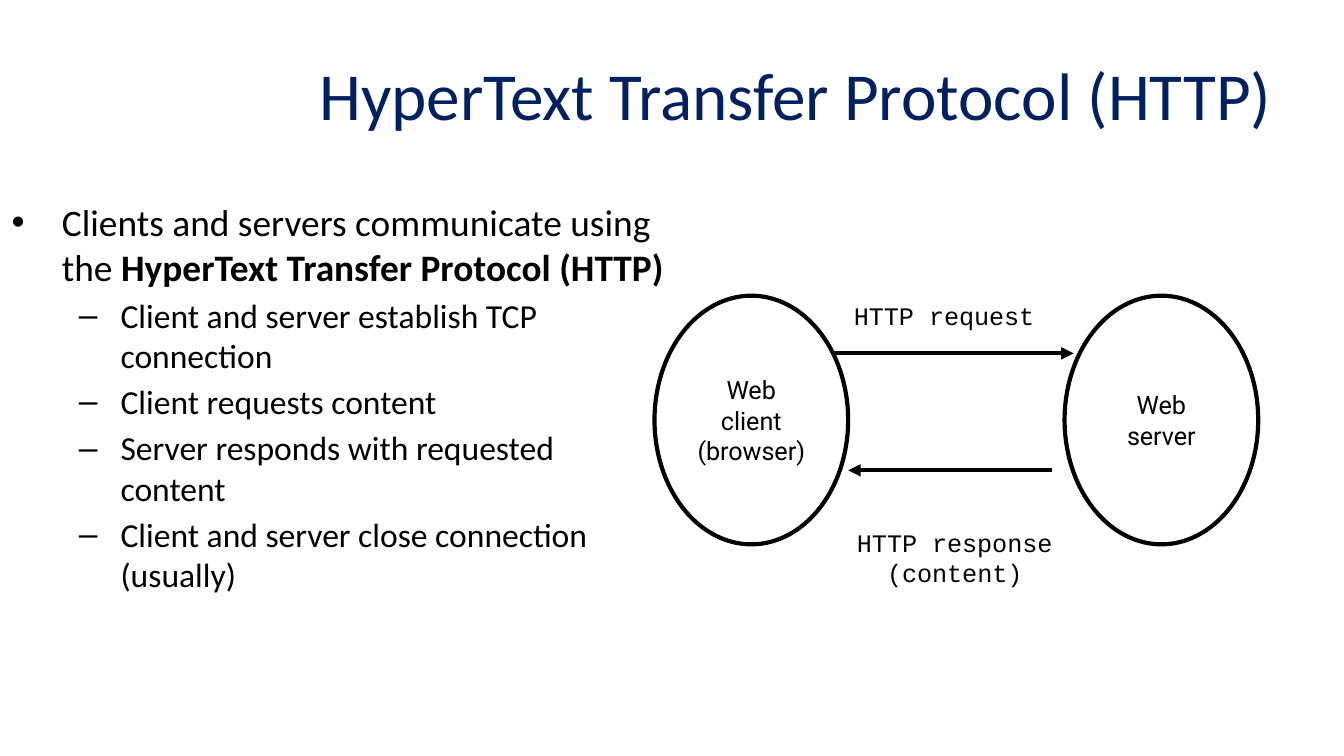
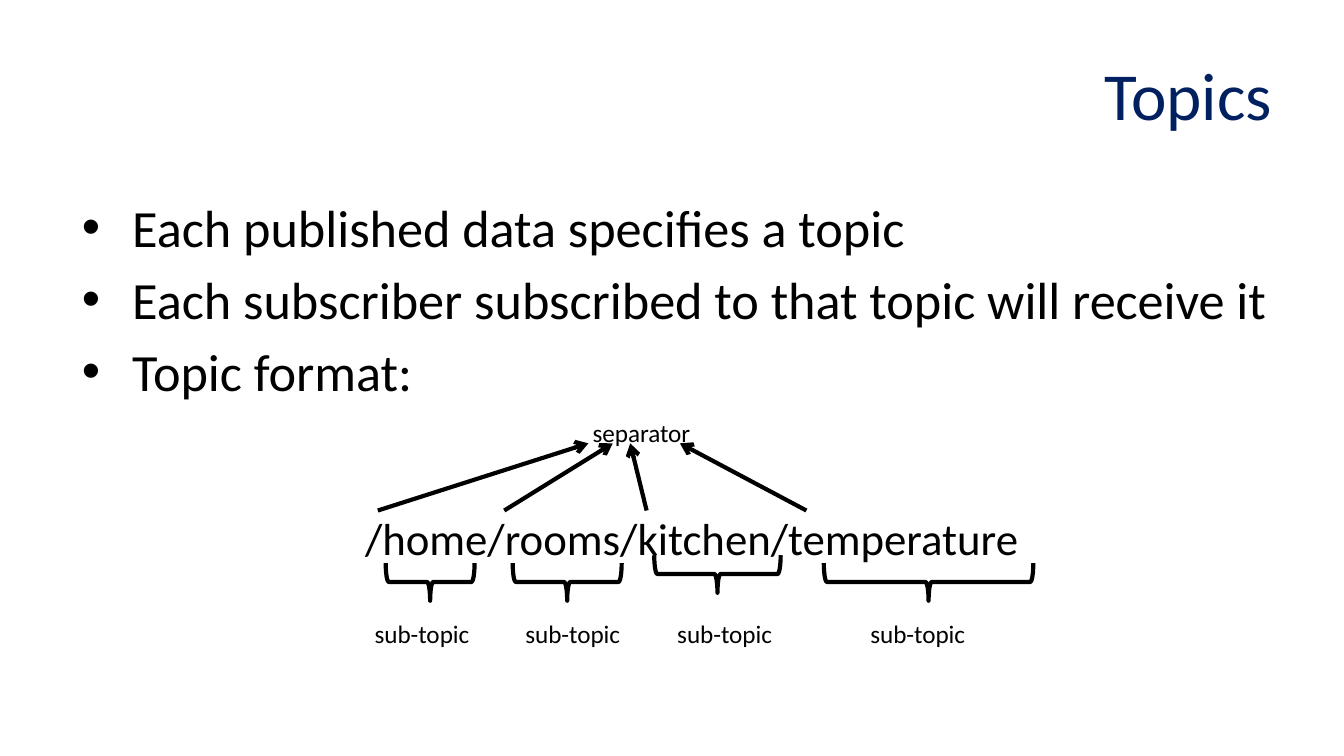
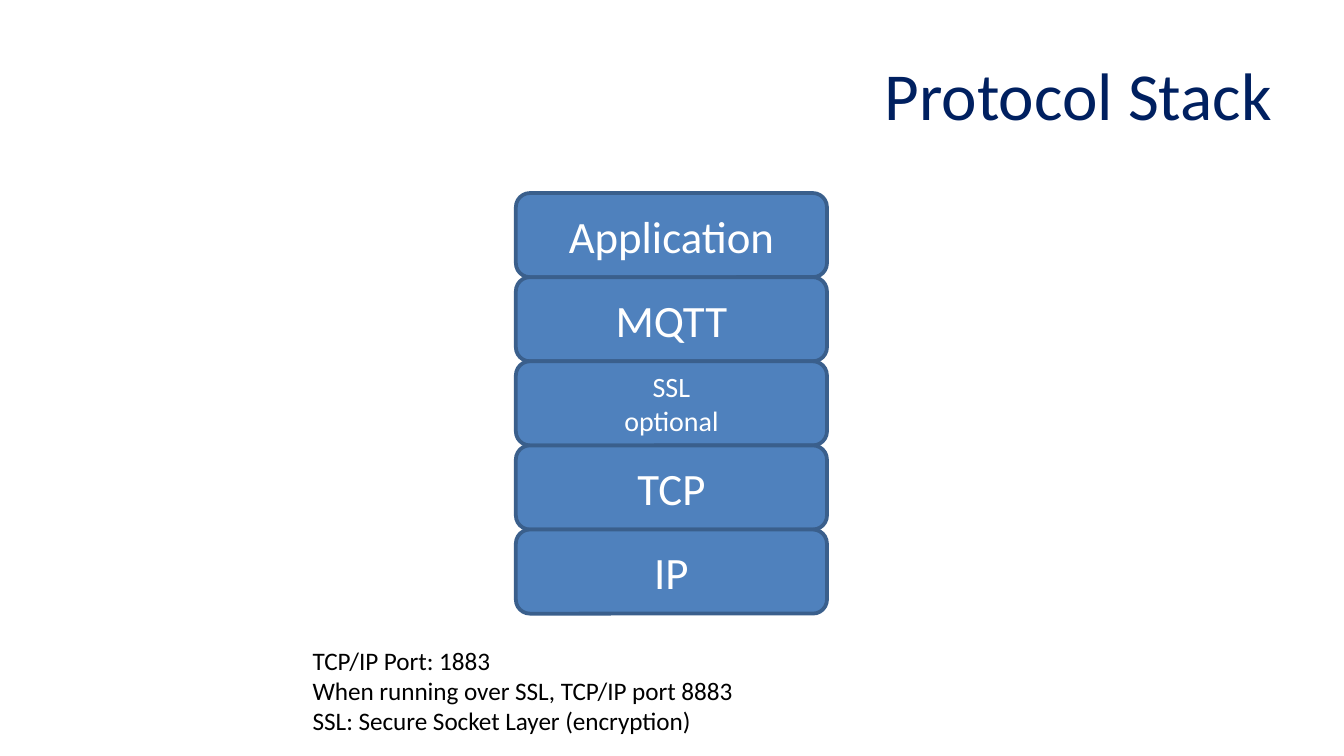
from dataclasses import dataclass

from lxml import etree
from pptx import Presentation
from pptx.dml.color import RGBColor
from pptx.enum.shapes import MSO_CONNECTOR, MSO_SHAPE
from pptx.enum.text import MSO_ANCHOR, MSO_AUTO_SIZE, PP_ALIGN
from pptx.oxml.ns import qn
from pptx.util import Cm, Pt

LEFT, CENTER, RIGHT = PP_ALIGN.LEFT, PP_ALIGN.CENTER, PP_ALIGN.RIGHT
TOP, MIDDLE = MSO_ANCHOR.TOP, MSO_ANCHOR.MIDDLE
FIXED, GROW = MSO_AUTO_SIZE.NONE, MSO_AUTO_SIZE.SHAPE_TO_FIT_TEXT
ELLIPSE, BRACE, ROUNDED = MSO_SHAPE.OVAL, MSO_SHAPE.LEFT_BRACE, MSO_SHAPE.ROUNDED_RECTANGLE
STRAIGHT = MSO_CONNECTOR.STRAIGHT


@dataclass(frozen=True)
class Theme:
    navy: str = "002060"
    black: str = "000000"
    white: str = "FFFFFF"
    blue: str = "4F81BD"
    blue_edge: str = "3A5F8C"
    body_font: str = "Calibri"
    code_font: str = "Courier New"
    node_font: str = "Roboto"
    title_size: float = 36
    topic_size: float = 24
    label_size: float = 13.5
    small_layer_size: float = 15
    line_width: float = 2.25
    layer_line_width: float = 2


THEME = Theme()

# Places are (left, top, width, height) in centimetres.
TITLE_BOX = (1.35, 0.71, 22.94, 2.13)
DIAGRAM_INSETS = (0.18, 0.1)
BULLETS = [("•", 0.95, 0.95), ("–", 2.06, 0.79)]  # mark, left margin, hanging indent
BULLET_GAP = 0.18  # share of the type size

# Bullet items are (level, size, plain text, bold text).
HTTP_TITLE = "HyperText Transfer Protocol (HTTP)"
HTTP_BOX = (-0.03, 3.63, 12.85, 9.73)
HTTP_ITEMS = [(0, 20, "Clients and servers communicate using the ", HTTP_TITLE)] + [
    (1, 18, step, "")
    for step in (
        "Client and server establish TCP connection",
        "Client requests content",
        "Server responds with requested content",
        "Client and server close connection (usually)",
    )
]
NODE_TOP, NODE_SIZE = 5.59, (3.66, 4.7)
SERVER = (20.12, ["Web", "server"])
CLIENT = (12.37, ["Web", "client", "(browser)"])
MESSAGES = [  # label, label place, arrow start, arrow end
    (["HTTP request"], (15.37, 5.28, 4.95, 1.35), (15.62, 6.68), (20.29, 6.68)),
    (["HTTP response", "(content)"], (15.39, 9.35, 5.31, 2.36), (19.89, 8.89), (16.03, 8.89)),
]

TOPIC_BOX = (1.3, 3.56, 22.91, 9.73)
TOPIC_ITEMS = [
    (0, 28, text, "")
    for text in (
        "Each published data specifies a topic",
        "Each subscriber subscribed to that topic will receive it",
        "Topic format:",
    )
]
TOPIC_PATH = ("/home/rooms/kitchen/temperature", (6.65, 9.53, 12.98, 1.27))
SEPARATOR = ("separator", (10.95, 7.75, 2.39, 0.84))
SEPARATOR_ARROWS = [(7.14, 11.12), (9.53, 11.58), (12.22, 11.91), (15.24, 12.85)]  # from x, to x
ARROW_START_Y, ARROW_END_Y = 9.65, 8.38
SUB_TOPIC_TOP, SUB_TOPIC_SIZE = 11.56, (2.34, 0.84)
SUB_TOPICS = [  # label left, brace centre x, brace centre y, brace span
    (6.83, 8.13, 11.0, 1.68),
    (9.68, 10.72, 11.0, 2.06),
    (12.55, 13.56, 10.85, 2.39),
    (16.2, 17.55, 11.0, 3.96),
]
BRACE_DEPTH = 0.71

LAYERS = [["Application"], ["MQTT"], ["SSL", "optional"], ["TCP"], ["IP"]]
STACK_LEFT, STACK_TOP, LAYER_WIDTH, LAYER_HEIGHT = 9.75, 3.65, 5.88, 1.59
PORT_NOTES = [
    "TCP/IP Port: 1883",
    "When running over SSL, TCP/IP port 8883",
    "SSL: Secure Socket Layer (encryption)",
]
PORT_BOX = (5.66, 12.07, 8.59, 1.98)


def lengths(values):
    return [Cm(value) for value in values]


def add_run(paragraph, text, size, font=THEME.body_font, color=THEME.black, bold=False):
    run = paragraph.add_run()
    run.text = text
    run.font.name = font
    run.font.size = Pt(size)
    run.font.bold = bold
    run.font.color.rgb = RGBColor.from_string(color)


def frame_paragraphs(shape, count, anchor=TOP, insets=(0.25, 0.13), wrap=True, auto_size=FIXED):
    """Set up the text frame and return that many empty paragraphs."""
    frame = shape.text_frame
    frame.auto_size = auto_size
    frame.word_wrap = wrap
    frame.vertical_anchor = anchor
    frame.margin_left = frame.margin_right = Cm(insets[0])
    frame.margin_top = frame.margin_bottom = Cm(insets[1])
    return [frame.paragraphs[0]] + [frame.add_paragraph() for _ in range(count - 1)]


def write_text(shape, lines, size=THEME.label_size, font=THEME.body_font,
               color=THEME.black, align=LEFT, **frame_format):
    for paragraph, line in zip(frame_paragraphs(shape, len(lines), **frame_format), lines):
        paragraph.alignment = align
        add_run(paragraph, line, size, font, color)


def add_label(slide, lines, box, **text_format):
    shape = slide.shapes.add_textbox(*lengths(box))
    write_text(shape, lines, wrap=False, auto_size=GROW, **text_format)


def add_bullets(slide, items, box):
    shape = slide.shapes.add_textbox(*lengths(box))
    for paragraph, item in zip(frame_paragraphs(shape, len(items)), items):
        level, size, plain, bold = item
        mark, margin, hanging = BULLETS[level]
        paragraph.level = level
        paragraph.space_before = Pt(round(size * BULLET_GAP, 1))
        properties = paragraph._p.get_or_add_pPr()
        properties.set("marL", str(Cm(margin)))
        properties.set("indent", str(-Cm(hanging)))
        etree.SubElement(properties, qn("a:buFont")).set("typeface", "Arial")
        etree.SubElement(properties, qn("a:buChar")).set("char", mark)
        add_run(paragraph, plain, size)
        if bold:
            add_run(paragraph, bold, size, bold=True)


def add_outlined(slide, kind, box, fill=None, line=THEME.black, width=THEME.line_width):
    shape = slide.shapes.add_shape(kind, *lengths(box))
    shape.shadow.inherit = False
    if fill:
        shape.fill.solid()
        shape.fill.fore_color.rgb = RGBColor.from_string(fill)
    else:
        shape.fill.background()
    shape.line.color.rgb = RGBColor.from_string(line)
    shape.line.width = Pt(width)
    return shape


def add_arrow(slide, start, end, head):
    connector = slide.shapes.add_connector(STRAIGHT, *lengths(start + end))
    connector.line.color.rgb = RGBColor.from_string(THEME.black)
    connector.line.width = Pt(THEME.line_width)
    etree.SubElement(connector.line._get_or_add_ln(), qn("a:tailEnd")).set("type", head)
    etree.SubElement(connector._element.spPr, qn("a:effectLst"))


def add_titled_slide(presentation, title):
    slide = presentation.slides.add_slide(presentation.slide_layouts[5])
    shape = slide.shapes.title
    shape.left, shape.top, shape.width, shape.height = lengths(TITLE_BOX)
    write_text(shape, [title], size=THEME.title_size, color=THEME.navy, align=RIGHT, anchor=MIDDLE)
    return slide


def add_node(slide, left, lines):
    node = add_outlined(slide, ELLIPSE, (left, NODE_TOP, *NODE_SIZE), fill=THEME.white)
    write_text(node, lines, font=THEME.node_font, align=CENTER, anchor=MIDDLE,
               insets=DIAGRAM_INSETS, wrap=False)


def build_http(presentation):
    slide = add_titled_slide(presentation, HTTP_TITLE)
    add_bullets(slide, HTTP_ITEMS, HTTP_BOX)
    add_node(slide, *SERVER)
    for lines, box, start, end in MESSAGES:
        add_arrow(slide, start, end, "triangle")
        add_label(slide, lines, box, font=THEME.code_font, align=CENTER, anchor=MIDDLE,
                  insets=DIAGRAM_INSETS)
    add_node(slide, *CLIENT)


def build_topics(presentation):
    slide = add_titled_slide(presentation, "Topics")
    add_bullets(slide, TOPIC_ITEMS, TOPIC_BOX)
    topic, topic_box = TOPIC_PATH
    add_label(slide, [topic], topic_box, size=THEME.topic_size)
    separator, separator_box = SEPARATOR
    add_label(slide, [separator], separator_box)
    for label_left, center_x, center_y, span in SUB_TOPICS:
        brace_box = (center_x - BRACE_DEPTH / 2, center_y - span / 2, BRACE_DEPTH, span)
        add_outlined(slide, BRACE, brace_box).rotation = 270
        add_label(slide, ["sub-topic"], (label_left, SUB_TOPIC_TOP, *SUB_TOPIC_SIZE))
    for start_x, end_x in SEPARATOR_ARROWS:
        add_arrow(slide, (start_x, ARROW_START_Y), (end_x, ARROW_END_Y), "arrow")


def build_stack(presentation):
    slide = add_titled_slide(presentation, "Protocol Stack")
    for index, lines in enumerate(LAYERS):
        box = (STACK_LEFT, STACK_TOP + index * LAYER_HEIGHT, LAYER_WIDTH, LAYER_HEIGHT)
        layer = add_outlined(slide, ROUNDED, box, fill=THEME.blue, line=THEME.blue_edge,
                             width=THEME.layer_line_width)
        size = THEME.topic_size if len(lines) == 1 else THEME.small_layer_size
        write_text(layer, lines, size=size, color=THEME.white, align=CENTER, anchor=MIDDLE)
    add_label(slide, PORT_NOTES, PORT_BOX)


def main():
    presentation = Presentation()
    presentation.slide_width, presentation.slide_height = lengths((25.4, 14.29))
    for build in (build_http, build_topics, build_stack):
        build(presentation)
    presentation.save("out.pptx")


if __name__ == "__main__":
    main()
